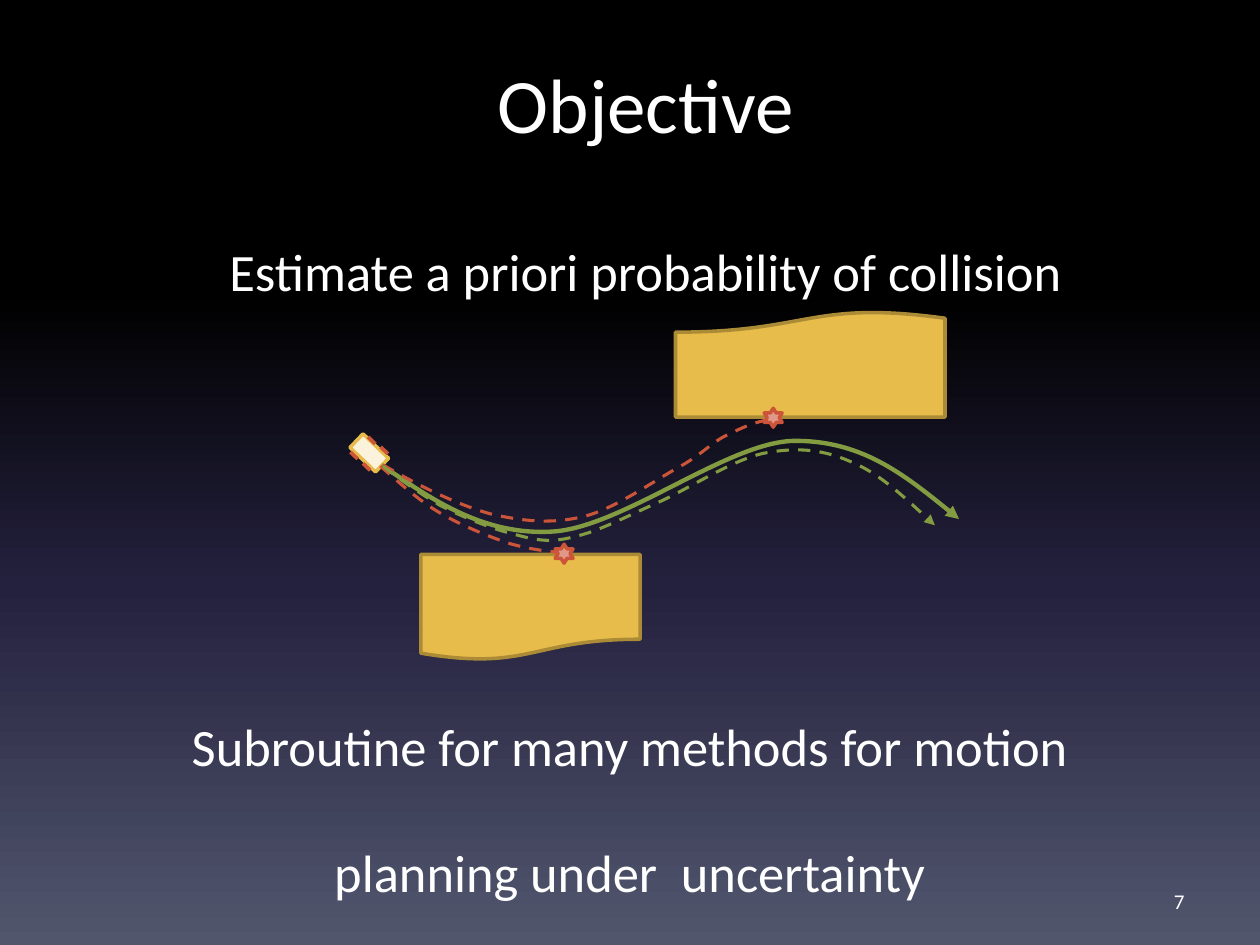
from copy import deepcopy
from dataclasses import dataclass

from lxml.etree import SubElement
from pptx import Presentation
from pptx.dml.color import RGBColor
from pptx.enum.dml import MSO_LINE
from pptx.enum.shapes import MSO_SHAPE
from pptx.enum.text import MSO_ANCHOR, PP_ALIGN
from pptx.oxml.ns import qn
from pptx.shapes.autoshape import Shape
from pptx.shapes.shapetree import GroupShapes
from pptx.slide import Slide
from pptx.util import Pt

COLORS = {
    "white": "FFFFFF",
    "black": "000000",
    "navy": "24213E",
    "slate": "51566D",
    "cream": "FAF2DB",
    "gold": "E8BC4A",
    "bronze": "AC8B37",
    "red": "CC5439",
    "pink": "E09888",
    "green": "839C41",
}
FADE = [(0, "black"), (31, "black"), (62, "navy"), (100, "slate")]


@dataclass
class Label:
    text: str
    box: tuple[float, float, float, float]
    size: float
    align: PP_ALIGN = PP_ALIGN.CENTER
    anchor: MSO_ANCHOR = MSO_ANCHOR.TOP
    pitch: float | None = None


@dataclass
class Block:
    kind: MSO_SHAPE
    box: tuple[float, float, float, float]
    fill: str
    edge: str | None = None
    turn: float = 0


@dataclass
class Curve:
    start: tuple[float, float]
    bends: list[tuple[float, float]]
    color: str
    width: float = 1.75
    dash: bool = True
    arrow: bool = False


def wheel(left: float, top: float) -> Block:
    return Block(MSO_SHAPE.RECTANGLE, (left, top, 5.76, 2.16), "red", turn=43.7)


def crash(left: float, top: float) -> Block:
    return Block(MSO_SHAPE.STAR_6_POINT, (left, top, 10.3, 10.8), "pink", "red")


LABELS = [
    Label("Estimate a priori probability of collision", (36, 133, 666, 44), 30),
    Label("Subroutine for many methods for motion\vplanning under  uncertainty",
          (36, 368.6, 648, 151), 30, pitch=72),
    Label("7", (516, 500.4, 168, 28.8), 12, PP_ALIGN.RIGHT, MSO_ANCHOR.MIDDLE),
    Label("Objective", (36, 28.8, 666, 90), 44),
]

SCENE = [
    Block(MSO_SHAPE.RECTANGLE, (200.9, 253.4, 20.2, 10.8), "cream", "gold", 43.7),
    wheel(209.5, 250.6),
    wheel(216.7, 256.3),
    wheel(199.4, 259.2),
    wheel(206.6, 265.7),
    Curve((218, 265.7),
          [(247, 285.8), (276.5, 306), (315.4, 303.8),
           (355, 301.7), (414.7, 253.4), (452.9, 252),
           (491.8, 251.3), (519.8, 273.6), (548, 296.6)],
          "green", 2.5, dash=False, arrow=True),
    Block(MSO_SHAPE.FLOWCHART_DOCUMENT, (240.5, 316.8, 125.3, 60.5), "gold", "bronze"),
    Block(MSO_SHAPE.FLOWCHART_DOCUMENT, (386, 177.8, 154, 60.5), "gold", "bronze", 180),
    Curve((217.4, 266.4),
          [(228.2, 275.8), (239, 285.8), (251.3, 293),
           (263.5, 300.2), (277.9, 306), (290.2, 310.3),
           (302.4, 313.9), (313.9, 315.4), (325.4, 316.1)],
          "red"),
    crash(317.2, 311),
    Curve((218.9, 265.7),
          [(239.8, 277.9), (262, 288.7), (280.8, 293.8),
           (299.5, 298), (315.4, 299.5), (333.4, 295.2),
           (351.4, 290.9), (374.4, 274.3), (388, 267),
           (401.8, 259.2), (406, 253.4), (414.7, 249),
           (423.4, 244.8), (430.6, 241.2), (439.9, 239.8)],
          "red"),
    crash(436.7, 233.3),
    Curve((218.9, 266.4),
          [(229, 274.3), (239, 281.5), (251.3, 288.7),
           (263.5, 295.2), (281.5, 302.4), (293.8, 305.3),
           (306.7, 308.9), (314.6, 310.3), (328.3, 306.7),
           (342, 303.8), (359.3, 294.5), (377.3, 286.6),
           (394.6, 278.6), (417.6, 263.5), (435.6, 259.2),
           (453.6, 255.6), (468.7, 256.3), (485.3, 263.5),
           (501.8, 270), (517.7, 285), (534.2, 300.2)],
          "green", arrow=True),
]


def tint(name: str) -> RGBColor:
    return RGBColor.from_string(COLORS[name])


def shade(slide: Slide) -> None:
    fill = slide.background.fill
    fill.gradient()
    fill.gradient_angle = 270
    stops = slide.element.xpath(".//a:gsLst")[0]
    for _ in range(len(FADE) - len(stops)):
        stops.append(deepcopy(stops[0]))
    for stop, (place, name) in zip(fill.gradient_stops, FADE):
        stop.position = place / 100
        stop.color.rgb = tint(name)


def write(slide: Slide, label: Label) -> None:
    frame = slide.shapes.add_textbox(*map(Pt, label.box)).text_frame
    frame.word_wrap = True
    frame.vertical_anchor = label.anchor
    para = frame.paragraphs[0]
    para.text = label.text
    para.alignment = label.align
    if label.pitch:
        para.line_spacing = Pt(label.pitch)
    para.font.name = "Calibri"
    para.font.size = Pt(label.size)
    para.font.color.rgb = tint("white")


def place(group: GroupShapes, block: Block) -> None:
    shape = group.add_shape(block.kind, *map(Pt, block.box))
    shape.shadow.inherit = False
    shape.rotation = block.turn
    shape.fill.solid()
    shape.fill.fore_color.rgb = tint(block.fill)
    if block.edge:
        shape.line.color.rgb = tint(block.edge)
        shape.line.width = Pt(2)
    else:
        shape.line.fill.background()


def bend(shape: Shape) -> None:
    legs = shape.element.xpath(".//a:lnTo")
    track = legs[0].getparent()
    for first in range(0, len(legs), 3):
        cubic = SubElement(track, qn("a:cubicBezTo"))
        for leg in legs[first:first + 3]:
            cubic.append(leg[0])
            track.remove(leg)


def trace(group: GroupShapes, curve: Curve) -> None:
    pen = group.build_freeform(*map(Pt, curve.start))
    pen.add_line_segments([(Pt(x), Pt(y)) for x, y in curve.bends], close=False)
    shape = pen.convert_to_shape()
    bend(shape)
    shape.shadow.inherit = False
    shape.fill.background()
    shape.line.color.rgb = tint(curve.color)
    shape.line.width = Pt(curve.width)
    if curve.dash:
        shape.line.dash_style = MSO_LINE.DASH
    if curve.arrow:
        edge = shape.element.xpath(".//a:ln")[0]
        SubElement(edge, qn("a:tailEnd"), type="triangle")


def main() -> None:
    deck = Presentation()
    deck.slide_width, deck.slide_height = Pt(720), Pt(540)
    slide = deck.slides.add_slide(deck.slide_layouts[6])
    shade(slide)
    group = slide.shapes.add_group_shape().shapes
    for item in SCENE:
        if isinstance(item, Block):
            place(group, item)
        else:
            trace(group, item)
    for label in LABELS:
        write(slide, label)
    deck.save("out.pptx")


if __name__ == "__main__":
    main()
